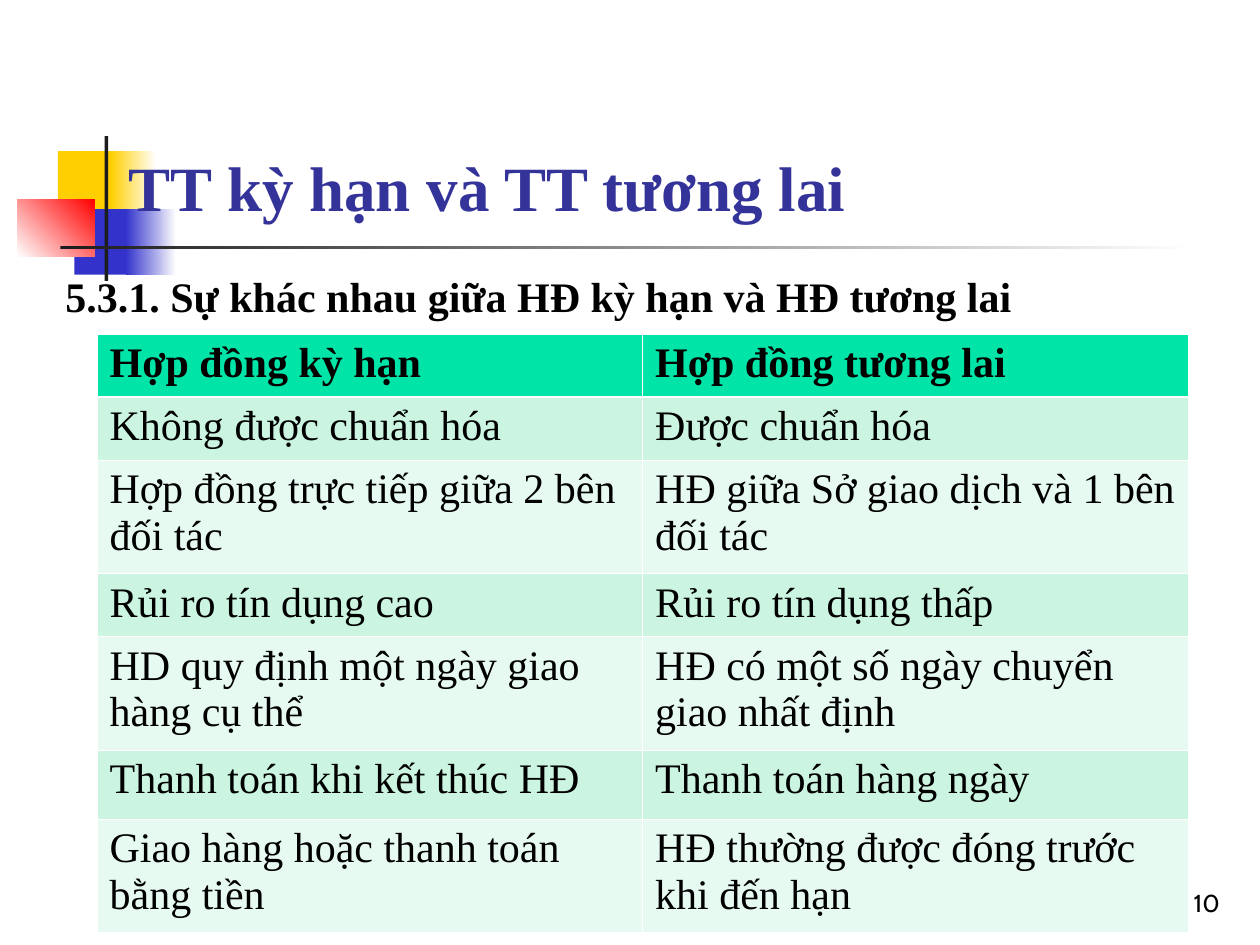
"""Build a slide comparing forward and futures contracts."""
from dataclasses import dataclass

import lxml.etree
import pptx
import pptx.dml.color
import pptx.enum.shapes
import pptx.enum.text
import pptx.oxml.ns
import pptx.util

Inches = pptx.util.Inches
Align = pptx.enum.text.PP_ALIGN
Anchor = pptx.enum.text.MSO_ANCHOR
SERIF = "Times New Roman"
HEADER_FILL, BAND_FILLS = "00E4A8", ("E7FAF1", "CBF5E1")
THIN, THICK = 0.45, 1.47


@dataclass
class Ornament:
    left: float
    top: float
    width: float
    height: float
    color: str
    fade: str = ""
    angle: float = 0


ORNAMENTS = [
    Ornament(0.46, 1.2, 0.48, 0.52, "FFCF01"),
    Ornament(0.88, 1.2, 0.36, 0.52, "FFCF01", "FFFFFF"),
    Ornament(0.59, 1.66, 0.46, 0.52, "3333CC"),
    Ornament(1, 1.66, 0.4, 0.52, "3333CC", "FFFFFF"),
    Ornament(0.14, 1.58, 0.61, 0.46, "FFFFFF", "FF0000", 45),
    Ornament(0.83, 1.08, 0.03, 1.15, "1C1C1C"),
    Ornament(0.48, 1.95, 9, 0.03, "1C1C1C", "FFFFFF"),
]

CONTRACT_ROWS = [
    (0.5, "Hợp đồng kỳ hạn", "Hợp đồng tương lai"),
    (0.5, "Không được chuẩn hóa", "Được chuẩn hóa"),
    (0.9, "Hợp đồng trực tiếp giữa 2 bên đối tác", "HĐ giữa Sở giao dịch và 1 bên đối tác"),
    (0.5, "Rủi ro tín dụng cao", "Rủi ro tín dụng thấp"),
    (0.9, "HD quy định một ngày giao hàng cụ thể", "HĐ có một số ngày chuyển giao nhất định"),
    (0.55, "Thanh toán khi kết thúc HĐ", "Thanh toán hàng ngày"),
    (0.9, "Giao hàng hoặc thanh toán bằng tiền", "HĐ thường được đóng trước khi đến hạn"),
]


def rgb(color: str) -> pptx.dml.color.RGBColor:
    return pptx.dml.color.RGBColor.from_string(color)


def write(frame, text: str, *, size: float = 24, font: str = SERIF, color: str = "000000",
          bold: bool = False, align=Align.LEFT, anchor=Anchor.TOP) -> None:
    frame.word_wrap = True
    frame.vertical_anchor = anchor
    para = frame.paragraphs[0]
    para.alignment = align
    span = para.add_run()
    span.text = text
    span.font.size = pptx.util.Pt(size)
    span.font.name = font
    span.font.bold = bold
    span.font.color.rgb = rgb(color)


def draw_ornament(page, item: Ornament) -> None:
    shape = page.shapes.add_shape(
        pptx.enum.shapes.MSO_SHAPE.RECTANGLE,
        Inches(item.left), Inches(item.top), Inches(item.width), Inches(item.height))
    shape.shadow.inherit = False
    shape.line.fill.background()
    if not item.fade:
        shape.fill.solid()
        shape.fill.fore_color.rgb = rgb(item.color)
        return
    shape.fill.gradient()
    shape.fill.gradient_angle = item.angle
    for stop, color in zip(shape.fill.gradient_stops, (item.color, item.fade)):
        stop.color.rgb = rgb(color)


def add_borders(cell, top: float, bottom: float) -> None:
    qn = pptx.oxml.ns.qn
    properties = cell._tc.get_or_add_tcPr()
    for side, width in (("L", THIN), ("R", THIN), ("T", top), ("B", bottom)):
        line = lxml.etree.SubElement(properties, qn(f"a:ln{side}"), w=str(pptx.util.Pt(width)))
        fill = lxml.etree.SubElement(line, qn("a:solidFill"))
        lxml.etree.SubElement(fill, qn("a:srgbClr"), val="FFFFFF")


def draw_table(page) -> None:
    total = sum(row[0] for row in CONTRACT_ROWS)
    table = page.shapes.add_table(len(CONTRACT_ROWS), 2, Inches(0.77), Inches(2.65),
                                  Inches(8.66), Inches(total)).table
    for index, (height, *texts) in enumerate(CONTRACT_ROWS):
        table.rows[index].height = Inches(height)
        for column, text in enumerate(texts):
            cell = table.cell(index, column)
            add_borders(cell, THICK if index == 1 else THIN, THICK if index == 0 else THIN)
            cell.fill.solid()
            cell.fill.fore_color.rgb = rgb(BAND_FILLS[index % 2] if index else HEADER_FILL)
            write(cell.text_frame, text, bold=index == 0)


def place_title(page, text: str) -> None:
    title = page.shapes.title
    title.left, title.top = Inches(0.92), Inches(0.23)
    title.width, title.height = Inches(8.86), Inches(1.6)
    write(title.text_frame, text, size=36, color="333399", bold=True, anchor=Anchor.BOTTOM)
    page.shapes.element.append(title.element)


def add_text(page, left: float, top: float, width: float, height: float,
             text: str, **style) -> None:
    box = page.shapes.add_textbox(Inches(left), Inches(top), Inches(width), Inches(height))
    write(box.text_frame, text, **style)


def main() -> None:
    deck = pptx.Presentation()
    deck.slide_width, deck.slide_height = Inches(10), Inches(7.5)
    page = deck.slides.add_slide(deck.slide_layouts[5])
    for item in ORNAMENTS:
        draw_ornament(page, item)
    place_title(page, "TT kỳ hạn và TT tương lai")
    add_text(page, 7.7, 6.83, 2.08, 0.5, "10", size=14, font="Cabin",
             align=Align.RIGHT, anchor=Anchor.BOTTOM)
    draw_table(page)
    add_text(page, 0.42, 2.1, 9.36, 0.5,
             "5.3.1. Sự khác nhau giữa HĐ kỳ hạn và HĐ tương lai", bold=True)
    deck.save("out.pptx")


if __name__ == "__main__":
    main()
